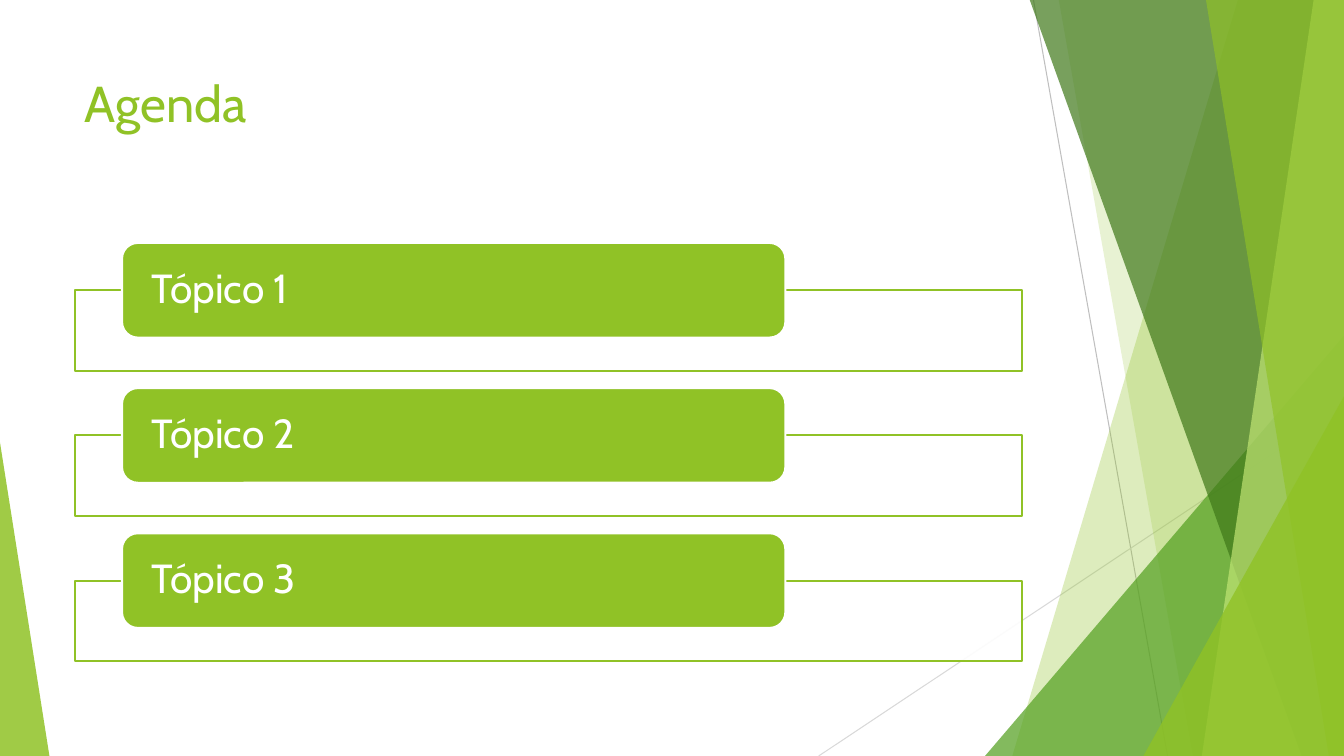
from lxml import etree
from pptx import Presentation
from pptx.dml.color import RGBColor
from pptx.enum.shapes import MSO_CONNECTOR, MSO_SHAPE
from pptx.enum.text import MSO_ANCHOR, PP_ALIGN
from pptx.oxml.ns import qn
from pptx.util import Pt

PX = 9144  # EMU per px, 100 px to the inch
W, H = 1333, 750
TOP = -1
FONT = "Cabin"
C = {"lime": "90C226", "green": "54A021", "forest": "3F7819", "pale": "C0E474",
     "grey": "BFBFBF", "light": "D9D9D9", "white": "FFFFFF"}
RECT, ROUND, TRIANGLE = MSO_SHAPE.RECTANGLE, MSO_SHAPE.ROUNDED_RECTANGLE, MSO_SHAPE.ISOSCELES_TRIANGLE
STRAIGHT = MSO_CONNECTOR.STRAIGHT
LEFT, ANCHOR_TOP, MIDDLE = PP_ALIGN.LEFT, MSO_ANCHOR.TOP, MSO_ANCHOR.MIDDLE


def paint(s, fill, opacity=100, line=None):
    s.shadow.inherit = False
    s.fill.solid()
    s.fill.fore_color.rgb = RGBColor.from_string(C[fill])
    if opacity < 100:
        color = s.fill._xPr.find(qn("a:solidFill"))[0]
        etree.SubElement(color, qn("a:alpha"), val=str(opacity * 1000))
    if line:
        s.line.color.rgb = RGBColor.from_string(C[line])
        s.line.width = Pt(1.5)
    else:
        s.line.fill.background()


def write(s, text, size, color, anchor, inset=10, spacing=None):
    tf = s.text_frame
    tf.word_wrap = True
    tf.vertical_anchor = anchor
    tf.margin_left = tf.margin_right = inset * PX
    p = tf.paragraphs[0]
    p.alignment = LEFT
    p.line_spacing = spacing
    r = p.add_run()
    r.text = text
    r.font.name = FONT
    r.font.size = Pt(size)
    r.font.color.rgb = RGBColor.from_string(C[color])


prs = Presentation()
prs.slide_width, prs.slide_height = W * PX, H * PX
slide = prs.slides.add_slide(prs.slide_layouts[5])
shapes = slide.shapes

# Thin lines behind the facets
for x1, y1, x2, y2, color in [(1025, 0, 1158, H, "grey"), (W, 403, 812, H, "light")]:
    line = shapes.add_connector(STRAIGHT, x1 * PX, y1 * PX, x2 * PX, y2 * PX)
    line.line.color.rgb = RGBColor.from_string(C[color])
    line.line.width = Pt(0.75)
    etree.SubElement(line._element.spPr, qn("a:effectLst"))

# Facets from back to front: a band has its top-left and bottom-left x,
# a triangle has its left, top, width and apex position
facets = [
    ("band", (1228, 1004), "lime", 30),
    ("band", (1050, 1183), "lime", 20),
    ("triangle", (977, 333, 356, 1), "green", 72),
    ("band", (1021, 1291), "forest", 70),
    ("band", (1303, 1192), "pale", 70),
    ("band", (1196, 1318), "lime", 65),
    ("triangle", (1134, 393, 199, 1), "lime", 80),
    ("triangle", (0, 439, 49, 0), "lime", 85),
]
for kind, geometry, color, opacity in facets:
    if kind == "band":
        top_x, bottom_x = geometry
        builder = shapes.build_freeform(top_x, TOP, scale=PX)
        builder.add_line_segments([(W, TOP), (W, H), (bottom_x, H)], close=True)
        facet = builder.convert_to_shape()
    else:
        x, y, w, apex = geometry
        facet = shapes.add_shape(TRIANGLE, x * PX, y * PX, w * PX, (H - y) * PX)
        facet.adjustments[0] = apex
    paint(facet, color, opacity)

title = shapes.title
title.left, title.top, title.width, title.height = 74 * PX, 67 * PX, 940 * PX, 144 * PX
write(title, "Agenda", 36, "lime", ANCHOR_TOP)

# Agenda topics
for i, topic in enumerate(["Tópico 1", "Tópico 2", "Tópico 3"]):
    y = 241 + 144 * i
    frame = shapes.add_shape(RECT, 74 * PX, (y + 47) * PX, 940 * PX, 80 * PX)
    paint(frame, "white", 90, line="lime")
    label = shapes.add_shape(ROUND, 121 * PX, y * PX, 658 * PX, 94 * PX)
    paint(label, "lime", line="white")
    write(label, topic, 29, "white", MIDDLE, inset=25, spacing=0.9)

prs.save("out.pptx")
